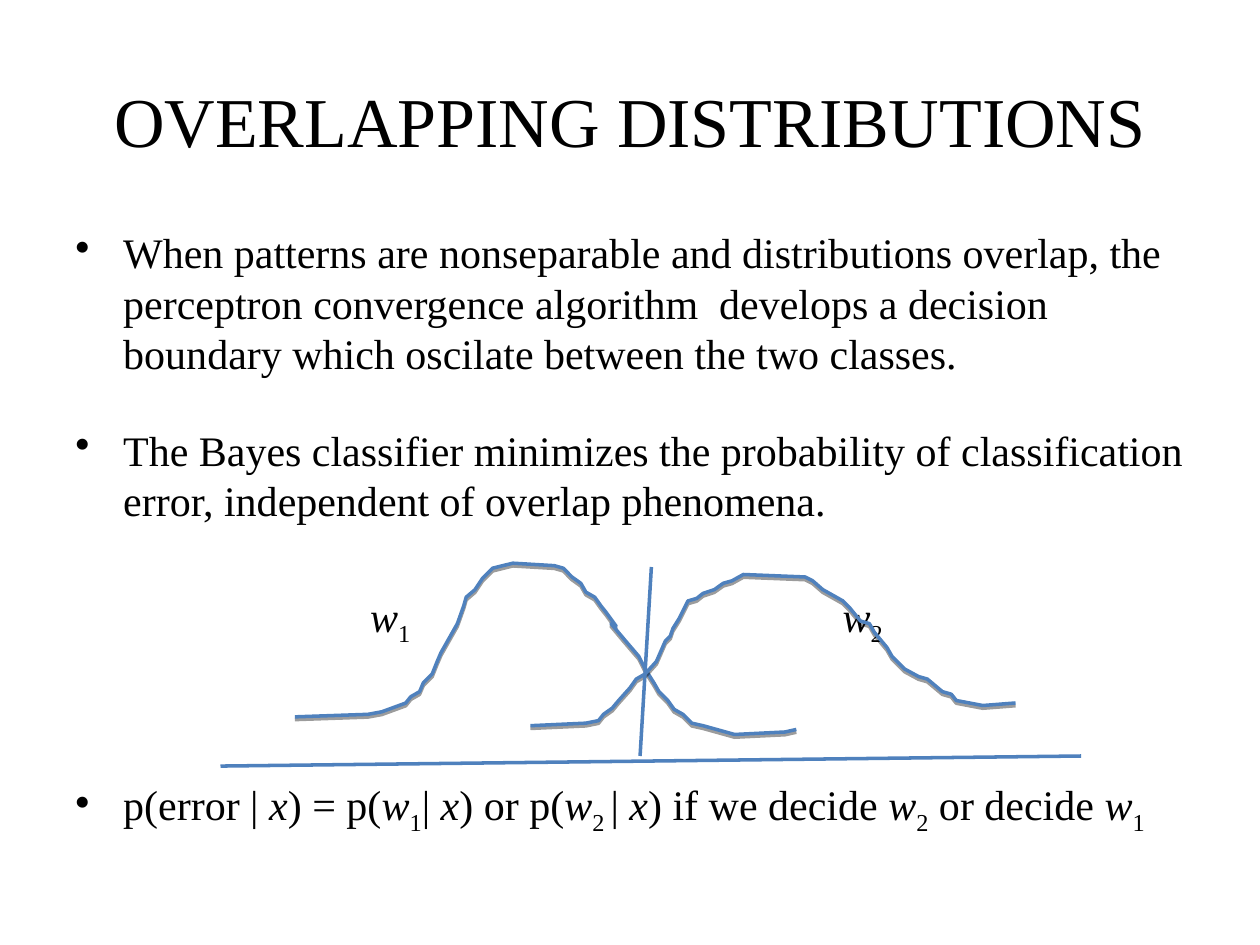
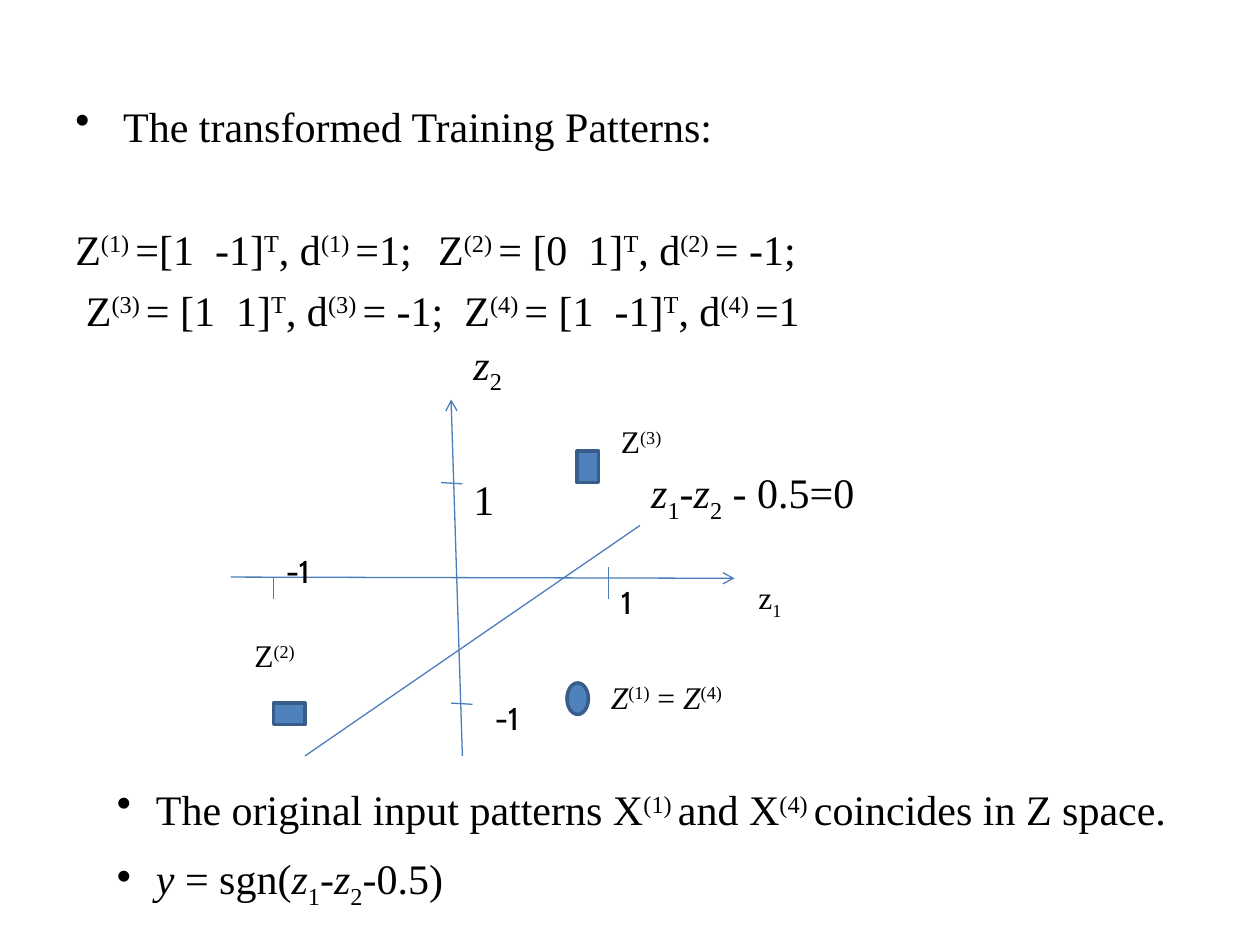
from lxml.etree import SubElement
from pptx import Presentation
from pptx.dml.color import RGBColor
from pptx.enum.shapes import MSO_CONNECTOR, MSO_SHAPE
from pptx.enum.text import MSO_ANCHOR, PP_ALIGN
from pptx.oxml.ns import qn
from pptx.util import Inches, Pt

HUES = {"text": "000000", "fill": "4F81BD", "edge": "385D8A", "axis": "4A7EBB"}
SERIF, SANS = "Times New Roman", "Cabin"
LEAD = 1.204  # line pitch as a share of the text size

# A run that starts with a mark is italic (/), subscript (_) or superscript (^).
MARKS = {"/": (True, None), "_": (False, "-25000"), "^": (False, "30000")}

TITLE = ["OVERLAPPING DISTRIBUTIONS"]

# Each paragraph: space before in points, bulleted or not, runs
OVERLAP = [
    (0, True, ["When patterns are nonseparable and distributions overlap, the "
               "perceptron convergence algorithm  develops a decision boundary "
               "which oscilate between the two classes."]),
    (26, True, ["The Bayes classifier minimizes the probability of "
                "classification error, independent of overlap phenomena."]),
    (149, True, ["p(error | ", "/x", ") = p(", "/w", "_1", "| ", "/x", ") or p(",
                 "/w", "_2 ", "| ", "/x", ") if we decide ", "/w", "_2",
                 " or decide ", "/w", "_1"]),
]
PATTERNS = [
    (0, True, ["The transformed Training Patterns:"]),
    (41, False, ["Z", "^(1) ", "=[1  -1]", "^T", ", d", "^(1) ", "=1; \tZ",
                 "^(2) ", "= [0  1]", "^T", ", d", "^(2) ", "= -1;"]),
    (6, False, [" Z", "^(3) ", "= [1  1]", "^T", ", d", "^(3) ", "= -1;  Z",
                "^(4) ", "= [1  -1]", "^T", ", d", "^(4) ", "=1"]),
]
RESULT = [
    (0, True, ["The original input patterns X", "^(1) ", "and X", "^(4) ",
               "coincides in Z space."]),
    (14.4, True, ["/y ", "= sgn(", "/z", "_1", "-", "/z", "_2", "-0.5)"]),
]

# Labels: left, top, width, size, font, runs
CLASSES = [
    (2.84, 4.69, 0.7, 24, SERIF, ["/w", "_1"]),
    (6.59, 4.69, 0.7, 24, SERIF, ["/w", "_2"]),
]
LABELS = [
    (3.66, 2.69, 0.7, 24, SERIF, ["/z", "_2"]),
    (3.66, 3.71, 0.5, 24, SERIF, ["1"]),
    (5.07, 3.71, 2.2, 24, SERIF, ["/z", "_1", "-", "/z", "_2", " - 0.5=0"]),
    (4.83, 3.3, 0.8, 18, SERIF, ["Z", "^(3)"]),
    (1.92, 5, 0.8, 18, SERIF, ["Z", "^(2)"]),
    (4.75, 5.33, 1.33, 18, SERIF, ["/Z", "^(1)", " = ", "/Z", "^(4)"]),
    (5.92, 4.58, 0.58, 18, SERIF, ["z", "_1"]),
    (3.83, 5.5, 0.58, 18, SANS, ["-1"]),
    (2.17, 4.33, 0.5, 18, SANS, ["-1"]),
    (4.83, 4.58, 0.4, 18, SANS, ["1"]),
]

CURVES = [
    [(2.34, 5.69), (2.92, 5.67), (3.03, 5.65), (3.22, 5.58), (3.26, 5.53),
     (3.33, 5.49), (3.36, 5.42), (3.43, 5.35), (3.47, 5.25), (3.5, 5.18),
     (3.63, 4.95), (3.68, 4.81), (3.7, 4.74), (3.77, 4.68), (3.83, 4.59),
     (3.91, 4.51), (4.07, 4.47), (4.4, 4.49), (4.47, 4.51), (4.54, 4.58),
     (4.61, 4.63), (4.65, 4.7), (4.72, 4.74), (4.77, 4.81), (4.81, 4.86),
     (4.89, 4.97), (4.85, 4.95), (4.95, 5.07), (5.01, 5.14), (5.07, 5.21),
     (5.12, 5.31), (5.19, 5.42), (5.23, 5.49), (5.3, 5.56), (5.35, 5.63),
     (5.42, 5.67), (5.49, 5.74), (5.58, 5.76), (5.83, 5.83), (6.23, 5.81),
     (6.32, 5.79)],
    [(4.21, 5.76), (4.65, 5.74), (4.75, 5.72), (4.79, 5.67), (4.86, 5.62),
     (4.91, 5.56), (5, 5.46), (5.05, 5.39), (5.12, 5.35), (5.21, 5.25),
     (5.28, 5.09), (5.32, 5.05), (5.34, 4.99), (5.39, 4.91), (5.46, 4.77),
     (5.53, 4.75), (5.58, 4.71), (5.67, 4.68), (5.74, 4.63), (5.81, 4.61),
     (5.9, 4.56), (6.39, 4.58), (6.45, 4.61), (6.53, 4.68), (6.69, 4.77),
     (6.74, 4.82), (6.83, 4.93), (6.9, 4.95), (6.94, 5.02), (7.04, 5.14),
     (7.08, 5.21), (7.18, 5.31), (7.29, 5.37), (7.36, 5.39), (7.48, 5.49),
     (7.55, 5.51), (7.59, 5.56), (7.8, 5.6), (8.06, 5.58)],
]
BOUNDS = [(1.75, 6.08, 8.58, 6), (5.17, 4.5, 5.08, 6)]
AXES = [(1.83, 4.58, 5.83, 4.59), (3.67, 6, 3.58, 3.17)]
SPLIT = (2.42, 6, 5.08, 4.17)
TICKS = [(3.58, 5.58, 3.75, 5.59), (3.5, 3.83, 3.67, 3.84),
         (2.17, 4.59, 2.17, 4.75), (4.83, 4.5, 4.83, 4.75)]
POINTS = [
    (MSO_SHAPE.FLOWCHART_CONNECTOR, 4.5, 5.42, 0.17, 0.25),
    (MSO_SHAPE.RECTANGLE, 4.58, 3.58, 0.17, 0.25),
    (MSO_SHAPE.RECTANGLE, 2.17, 5.58, 0.25, 0.17),
]


def hue(name):
    return RGBColor.from_string(HUES[name])


def add_runs(para, runs, size, font):
    for text in runs:
        slant, base = MARKS.get(text[0], (False, None))
        run = para.add_run()
        run.text = text[1:] if text[0] in MARKS else text
        run.font.size, run.font.name = Pt(size), font
        run.font.italic = slant
        run.font.color.rgb = hue("text")
        if base:
            run.font._element.set("baseline", base)
    if font == SERIF:
        para.line_spacing = Pt(size * LEAD)


def add_box(slide, left, top, wide, high):
    box = slide.shapes.add_textbox(*map(Inches, (left, top, wide, high)))
    box.text_frame.word_wrap = True
    return box.text_frame


def add_body(slide, place, paras, hang):
    """Adds 24 point paragraphs with a hanging indent."""
    frame = add_box(slide, *place)
    for i, (gap, dot, runs) in enumerate(paras):
        para = frame.add_paragraph() if i else frame.paragraphs[0]
        add_runs(para, runs, 24, SERIF)
        para.space_before = Pt(gap)
        props = para._p.get_or_add_pPr()
        props.set("marL", str(Inches(hang)))
        props.set("indent", str(-Inches(hang)))
        if dot:
            tint = SubElement(props, qn("a:buClr"))
            SubElement(tint, qn("a:srgbClr"), val=HUES["text"])
            SubElement(props, qn("a:buChar"), char="•")
        tabs = SubElement(props, qn("a:tabLst"))
        SubElement(tabs, qn("a:tab"), pos=str(Inches(3)), algn="l")


def add_labels(slide, labels):
    for left, top, wide, size, font, runs in labels:
        frame = add_box(slide, left, top, wide, 0.4)
        add_runs(frame.paragraphs[0], runs, size, font)


def add_line(slide, ends, color, width, arrow=False):
    line = slide.shapes.add_connector(MSO_CONNECTOR.STRAIGHT, *map(Inches, ends))
    line.line.color.rgb, line.line.width = hue(color), Pt(width)
    if arrow:
        SubElement(line.line._get_or_add_ln(), qn("a:tailEnd"), type="arrow")
    SubElement(line._element.spPr, qn("a:effectLst"))


def add_curve(slide, dots):
    start, *rest = [(Inches(x), Inches(y)) for x, y in dots]
    form = slide.shapes.build_freeform(*start)
    form.add_line_segments(rest, close=False)
    curve = form.convert_to_shape()
    curve.fill.background()
    curve.line.color.rgb, curve.line.width = hue("fill"), Pt(2)
    curve.shadow.inherit = False
    effects = curve._element.spPr.find(qn("a:effectLst"))
    shade = SubElement(effects, qn("a:outerShdw"), blurRad="0",
                       dist=str(Pt(1.6)), dir="5400000", rotWithShape="0")
    tint = SubElement(shade, qn("a:srgbClr"), val=HUES["text"])
    SubElement(tint, qn("a:alpha"), val="38000")


def add_point(slide, kind, *place):
    point = slide.shapes.add_shape(kind, *map(Inches, place))
    point.shadow.inherit = False
    point.fill.solid()
    point.fill.fore_color.rgb = hue("fill")
    point.line.color.rgb, point.line.width = hue("edge"), Pt(2)


def draw_overlap(slide):
    frame = add_box(slide, 0.5, 0.32, 9, 1.25)
    frame.vertical_anchor = MSO_ANCHOR.MIDDLE
    frame.paragraphs[0].alignment = PP_ALIGN.CENTER
    add_runs(frame.paragraphs[0], TITLE, 40, SERIF)
    add_body(slide, (0.5, 1.75, 9, 4.95), OVERLAP, 0.38)
    add_labels(slide, CLASSES)
    for dots in CURVES:
        add_curve(slide, dots)
    for ends in BOUNDS:
        add_line(slide, ends, "fill", 2)


def draw_patterns(slide):
    add_body(slide, (0.5, 0.75, 9, 2), PATTERNS, 0.38)
    for ends in AXES:
        add_line(slide, ends, "axis", 0.75, arrow=True)
    for ends in [SPLIT, *TICKS]:
        add_line(slide, ends, "axis", 0.75)
    for point in POINTS:
        add_point(slide, *point)
    add_labels(slide, LABELS)
    add_body(slide, (0.83, 6.17, 8.67, 1.16), RESULT, 0.31)


def main():
    deck = Presentation()
    deck.slide_width, deck.slide_height = Inches(10), Inches(7.5)
    for draw in (draw_overlap, draw_patterns):
        draw(deck.slides.add_slide(deck.slide_layouts[6]))
    deck.save("out.pptx")


if __name__ == "__main__":
    main()
